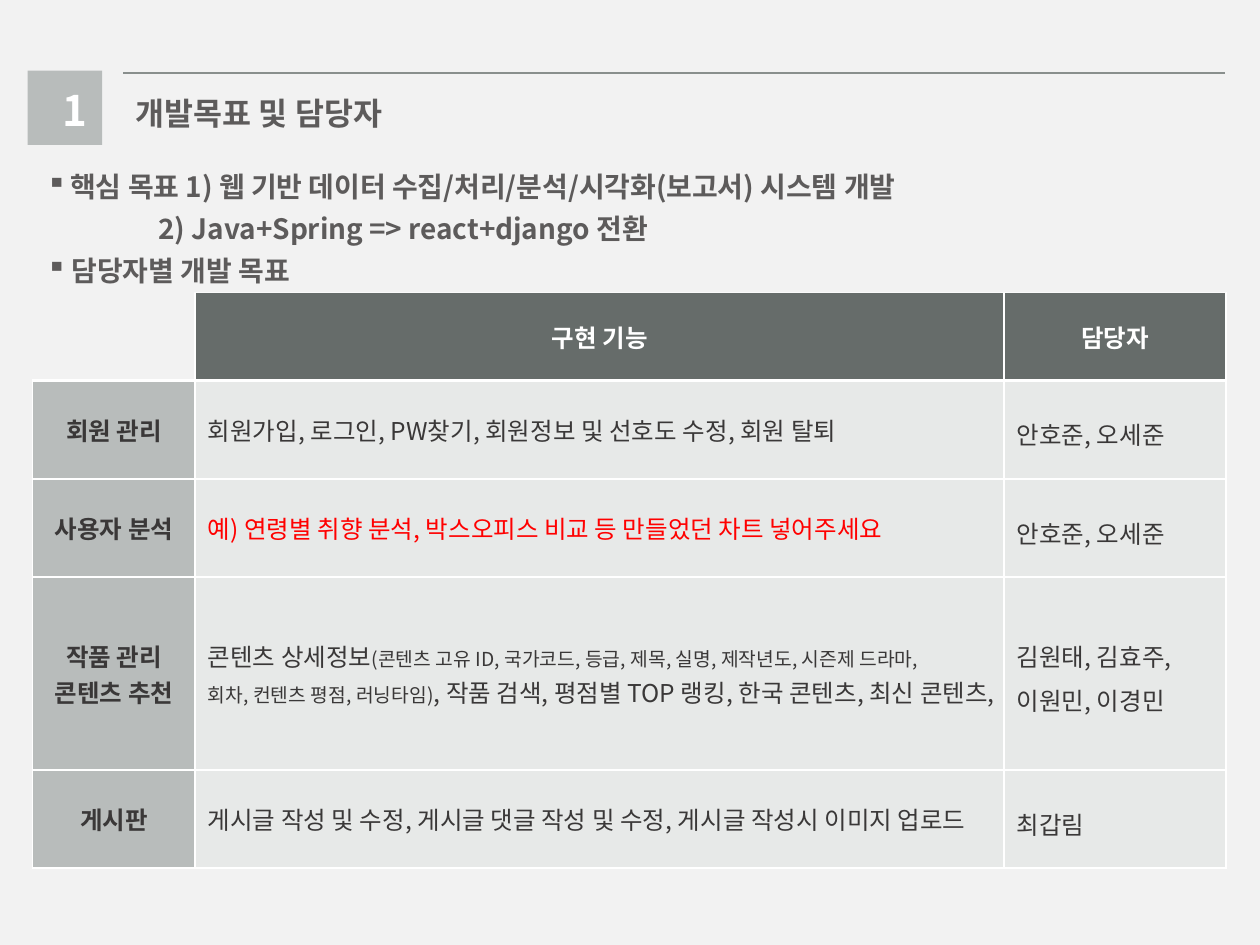
from lxml import etree
from pptx import Presentation, util as u
from pptx.dml.color import RGBColor
from pptx.enum import shapes, text
from pptx.oxml.ns import qn

PX = 9144  # 100 px to the inch
FONT = "Noto Sans CJK KR"
COLORS = {
    "page": "F2F2F2", "rule": "898F8D", "badge": "B8BCBB", "header": "666C6A",
    "body": "E7E9E8", "white": "FFFFFF", "heading": "5D5B5B", "ink": "3A3838",
    "alert": "FF0000",
}
COLUMNS = [129, 642, 176]
ROWS = [70, 78, 78, 153, 78]
COLUMN_EDGES = [1, 1.5, 1, 1]
ROW_EDGES = [1, 1.5, 1.5, 1.5, 1.5, 1]
# A cell is a list of paragraphs; a paragraph is a list of (words, size) spans.
HEADERS = ["구현 기능", "담당자"]
TASKS = [
    (["회원 관리"],
     [[("회원가입, 로그인, PW찾기, 회원정보 및 선호도 수정, 회원 탈퇴", 14)]],
     ["안호준, 오세준"]),
    (["사용자 분석"],
     [[("예) 연령별 취향 분석, 박스오피스 비교 등 만들었던 차트 넣어주세요", 14)]],
     ["안호준, 오세준"]),
    (["작품 관리", "콘텐츠 추천"],
     [[("콘텐츠 상세정보", 14),
       ("(콘텐츠 고유 ID, 국가코드, 등급, 제목, 실명, 제작년도, 시즌제 드라마,", 11)],
      [("회차, 컨텐츠 평점, 러닝타임)", 11),
       (", 작품 검색, 평점별 TOP 랭킹, 한국 콘텐츠, 최신 콘텐츠,", 14)]],
     ["김원태, 김효주,", "이원민, 이경민"]),
    (["게시판"],
     [[("게시글 작성 및 수정, 게시글 댓글 작성 및 수정, 게시글 작성시 이미지 업로드", 14)]],
     ["최갑림"]),
]
# words, left margin, first-line indent, bullet
GOALS = [
    ("핵심 목표 1) 웹 기반 데이터 수집/처리/분석/시각화(보고서) 시스템 개발", 19, -19, "▪"),
    ("2) Java+Spring => react+django 전환", 89, 0, None),
    ("담당자별 개발 목표", 20, -20, "▪"),
]


def rgb(name):
    return RGBColor.from_string(COLORS[name])


def plain(words, size=14):
    return [[(line, size)] for line in words]


class Painter:
    def __init__(self, page):
        self.page = page
        page.background.fill.solid()
        page.background.fill.fore_color.rgb = rgb("page")

    def rule(self, x1, y1, x2, y2, color, width):
        line = self.page.shapes.add_connector(
            shapes.MSO_CONNECTOR.STRAIGHT, x1 * PX, y1 * PX, x2 * PX, y2 * PX)
        line.line.color.rgb = rgb(color)
        line.line.width = u.Pt(width)
        etree.SubElement(line._element.spPr, qn("a:effectLst"))

    def rect(self, x, y, w, h, color):
        box = self.page.shapes.add_shape(
            shapes.MSO_SHAPE.RECTANGLE, x * PX, y * PX, w * PX, h * PX)
        box.shadow.inherit = False
        box.fill.solid()
        box.fill.fore_color.rgb = rgb(color)
        box.line.fill.background()
        return box

    def label(self, x, y, w, h, words, size, color, align, wrap):
        box = self.page.shapes.add_textbox(x * PX, y * PX, w * PX, h * PX)
        frame = box.text_frame
        frame.word_wrap = wrap
        frame.auto_size = text.MSO_AUTO_SIZE.SHAPE_TO_FIT_TEXT
        self.set_text(frame, plain([words], size), color, True, align)

    def set_text(self, frame, paragraphs, color, bold, align, spacing=None):
        for index, spans in enumerate(paragraphs):
            para = frame.add_paragraph() if index else frame.paragraphs[0]
            para.alignment = align
            if spacing:
                para.line_spacing = spacing
            for words, size in spans:
                span = para.add_run()
                span.text = words
                span.font.size = u.Pt(size)
                span.font.bold = bold
                span.font.color.rgb = rgb(color)
                span.font.name = FONT
                etree.SubElement(span.font._element, qn("a:ea"), typeface=FONT)

    def goals(self, x, y, w, h, items):
        frame = self.rect(x, y, w, h, "page").text_frame
        frame.word_wrap = True
        frame.vertical_anchor = text.MSO_ANCHOR.TOP
        frame.auto_size = text.MSO_AUTO_SIZE.SHAPE_TO_FIT_TEXT
        self.set_text(frame, plain([item[0] for item in items], 16), "heading", True,
                      text.PP_ALIGN.JUSTIFY, 1.25)
        for para, (_, margin, indent, bullet) in zip(frame.paragraphs, items):
            props = para._p.get_or_add_pPr()
            props.set("marL", str(margin * PX))
            props.set("indent", str(indent * PX))
            if bullet:
                etree.SubElement(props, qn("a:buChar"), char=bullet)

    def table(self, x, y, columns, rows):
        table = self.page.shapes.add_table(
            len(rows), len(columns), x * PX, y * PX,
            sum(columns) * PX, sum(rows) * PX).table
        table.first_row = table.horz_banding = False
        for column, width in zip(table.columns, columns):
            column.width = width * PX
        for row, height in zip(table.rows, rows):
            row.height = height * PX
        return table

    def cell(self, cell, edges, fill, paragraphs=(), color="ink", bold=False,
             align=text.PP_ALIGN.LEFT, spacing=None):
        """Edges maps L, R, T and B to a width in points, 0 for no border."""
        props = cell._tc.get_or_add_tcPr()
        for side, width in edges.items():
            line = etree.SubElement(props, qn(f"a:ln{side}"), w=str(u.Pt(width)))
            if width:
                paint = etree.SubElement(line, qn("a:solidFill"))
                etree.SubElement(paint, qn("a:srgbClr"), val=COLORS["white"])
            else:
                etree.SubElement(line, qn("a:noFill"))
        if fill:
            cell.fill.solid()
            cell.fill.fore_color.rgb = rgb(fill)
        else:
            cell.fill.background()
        cell.vertical_anchor = text.MSO_ANCHOR.MIDDLE
        self.set_text(cell.text_frame, paragraphs, color, bold, align, spacing)


def fill_table(painter, table):
    def edges(row, col):
        return {"L": COLUMN_EDGES[col], "R": COLUMN_EDGES[col + 1],
                "T": ROW_EDGES[row], "B": ROW_EDGES[row + 1]}

    center = text.PP_ALIGN.CENTER
    painter.cell(table.cell(0, 0), edges(0, 0) | {"L": 0, "T": 0}, None)
    for col, words in enumerate(HEADERS, 1):
        painter.cell(table.cell(0, col), edges(0, col), "header", plain([words]),
                     "white", True, center)
    for row, (area, features, owners) in enumerate(TASKS, 1):
        color = "alert" if area == ["사용자 분석"] else "ink"
        painter.cell(table.cell(row, 0), edges(row, 0), "badge", plain(area),
                     bold=True, align=center)
        painter.cell(table.cell(row, 1), edges(row, 1), "body", features, color)
        painter.cell(table.cell(row, 2), edges(row, 2), "body", plain(owners),
                     spacing=1.25)


def main():
    deck = Presentation()
    deck.slide_width, deck.slide_height = 1000 * PX, 750 * PX
    painter = Painter(deck.slides.add_slide(deck.slide_layouts[6]))
    painter.rule(98, 58, 972, 58, "rule", 1.5)
    painter.rect(22, 56, 59, 59, "badge")
    painter.label(40, 62, 21, 50, "1", 24, "white", text.PP_ALIGN.CENTER, True)
    painter.label(98, 70, 218, 40, "개발목표 및 담당자", 18, "heading",
                  text.PP_ALIGN.LEFT, False)
    fill_table(painter, painter.table(26, 232, COLUMNS, ROWS))
    painter.goals(27, 123, 946, 109, GOALS)
    deck.save("out.pptx")


if __name__ == "__main__":
    main()
